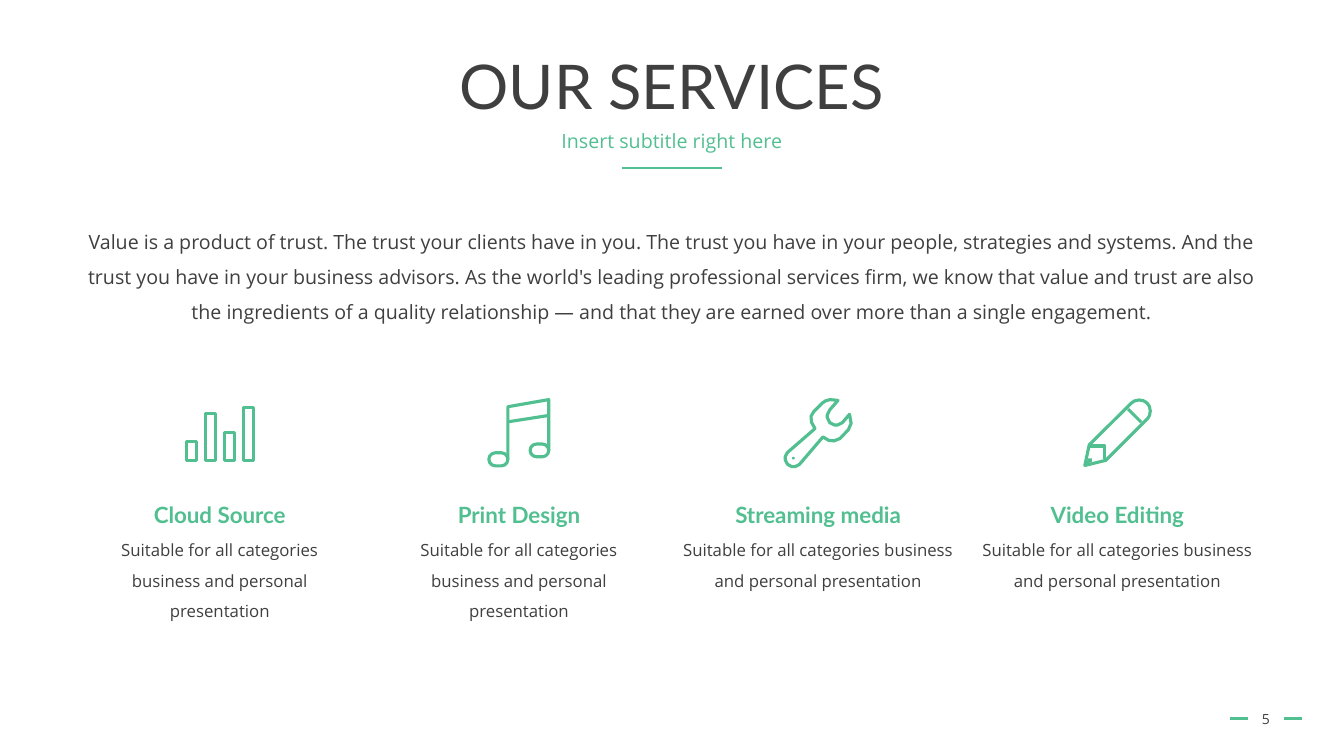
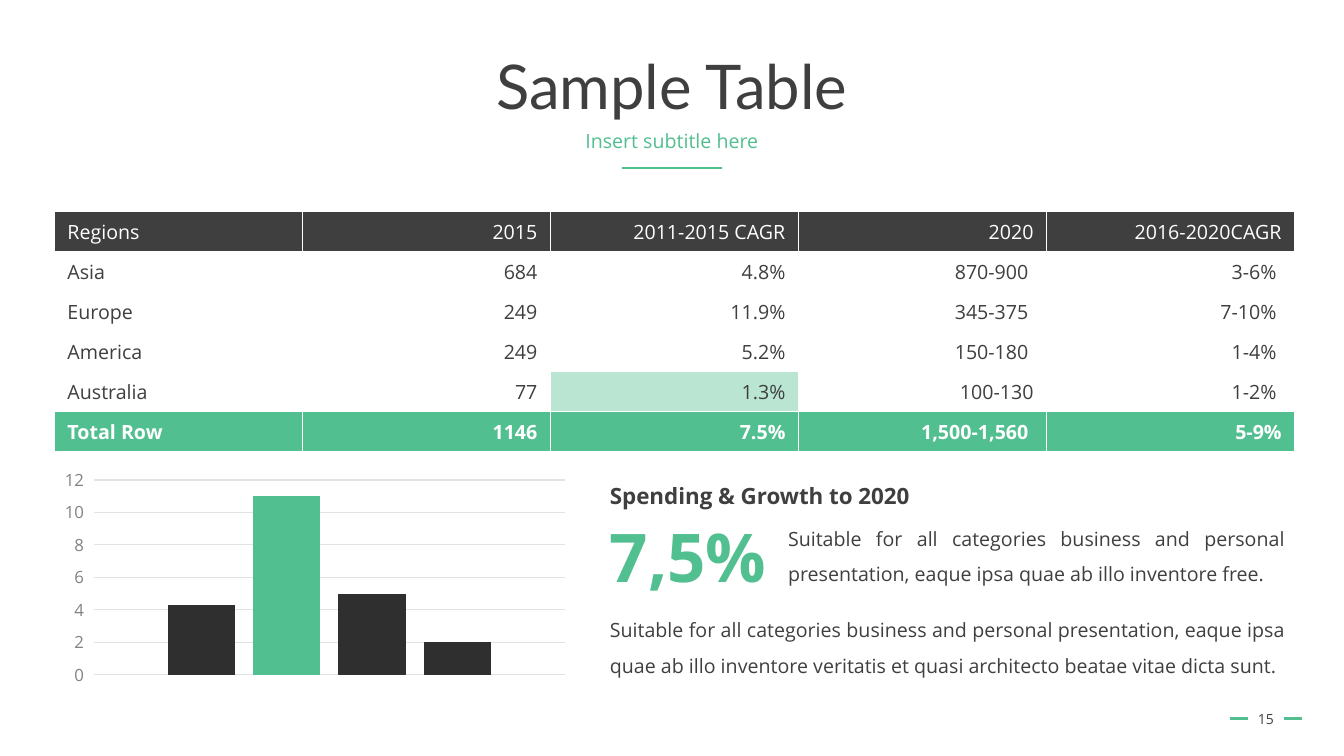
from dataclasses import dataclass
from math import cos, radians, sin

from lxml import etree
from pptx import Presentation
from pptx.chart.data import CategoryChartData
from pptx.dml.color import RGBColor
from pptx.enum.chart import XL_CHART_TYPE, XL_TICK_MARK
from pptx.enum.shapes import MSO_CONNECTOR, MSO_SHAPE
from pptx.enum.text import MSO_ANCHOR, PP_ALIGN
from pptx.oxml.ns import qn
from pptx.slide import Slide
from pptx.util import Cm, Pt

LEFT, MID, RIGHT, FULL = PP_ALIGN.LEFT, PP_ALIGN.CENTER, PP_ALIGN.RIGHT, PP_ALIGN.JUSTIFY
TOP, CENTRE = MSO_ANCHOR.TOP, MSO_ANCHOR.MIDDLE
PILL, OVAL = MSO_SHAPE.ROUNDED_RECTANGLE, MSO_SHAPE.OVAL
STRAIGHT = MSO_CONNECTOR.STRAIGHT
COLUMNS = XL_CHART_TYPE.COLUMN_CLUSTERED
OUTSIDE = XL_TICK_MARK.OUTSIDE

HUES = {
    "green": "52BF90",
    "dark": "3F3F3F",
    "bar": "2F2F2F",
    "label": "828282",
    "grid": "E2E2E2",
    "white": "FFFFFF",
}
HEAD, BODY = "Lato", "Open Sans"
UNIT = Cm(0.01)  # icon grid step
STROKE = Pt(2.25)
ICON_TOP = 10.03

Point = tuple[float, float]


@dataclass(frozen=True)
class Box:
    """A frame in centimetres."""
    x: float
    y: float
    w: float
    h: float

    def lengths(self) -> tuple[Cm, Cm, Cm, Cm]:
        return Cm(self.x), Cm(self.y), Cm(self.w), Cm(self.h)


@dataclass(frozen=True)
class Style:
    size: float
    hue: str = "dark"
    font: str = BODY
    bold: bool = False
    align: PP_ALIGN = MID
    space: float = 1.0
    before: float = 0
    anchor: MSO_ANCHOR = TOP


@dataclass(frozen=True)
class Trace:
    """One freeform of an icon, made of one or more strokes in icon units."""
    strokes: list[list[Point]]
    closed: bool = False
    solid: bool = False


@dataclass(frozen=True)
class Part:
    """A preset piece of an icon, in icon units."""
    kind: MSO_SHAPE
    x: float
    y: float
    w: float
    h: float


@dataclass(frozen=True)
class Service:
    name: str
    width: float
    icon: list[Trace | Part]


TITLE = Style(44, font=HEAD, space=0.9, anchor=CENTRE)
SUB = Style(14, "green", space=0.9, before=10)
PAGE = Style(10, anchor=CENTRE)
INTRO = Style(14, space=1.5)
NAME = Style(16, "green", HEAD, True)
NOTE = Style(12, space=1.5)
PROSE = Style(14, align=FULL, space=1.5)
LEAD = Style(16, bold=True, align=FULL, space=1.5)
FIGURE = Style(48, "green", bold=True, align=LEFT)


def color(name: str) -> RGBColor:
    return RGBColor.from_string(HUES[name])


def write(frame, words: str, style: Style) -> None:
    frame.word_wrap = True
    frame.vertical_anchor = style.anchor
    para = frame.paragraphs[0]
    para.alignment = style.align
    para.line_spacing = style.space
    para.space_before = Pt(style.before)
    run = para.add_run()
    run.text = words
    font = run.font
    font.name, font.size, font.bold = style.font, Pt(style.size), style.bold
    font.color.rgb = color(style.hue)


def text(slide: Slide, box: Box, words: str, style: Style) -> None:
    write(slide.shapes.add_textbox(*box.lengths()).text_frame, words, style)


def rule(slide: Slide, x: float, y: float, width: float) -> None:
    line = slide.shapes.add_connector(STRAIGHT, Cm(x), Cm(y), Cm(x + width), Cm(y))
    line.line.color.rgb = color("green")
    line.line.width = Pt(1.75)
    etree.SubElement(line._element.spPr, qn("a:effectLst"))


def start(deck, title: str, sub: str, page: int) -> Slide:
    """Add a slide with the shared heading and footer."""
    slide = deck.slides.add_slide(deck.slide_layouts[6])
    rule(slide, 15.67, 4.23, 2.52)
    for x in (30.99, 32.35):
        rule(slide, x, 18.11, 0.45)
    text(slide, Box(2.33, 1.02, 29.21, 2.49), title, TITLE)
    text(slide, Box(2.33, 3.2, 29.21, 1.02), sub, SUB)
    text(slide, Box(31.15, 17.61, 1.5, 1.02), str(page), PAGE)
    return slide


def arc(x: float, y: float, radius: float, first: int, last: int) -> list[Point]:
    """Points on a half circle; angles run clockwise from the right."""
    steps = 16
    turns = [radians(first + (last - first) * i / steps) for i in range(steps + 1)]
    return [(x + radius * cos(t), y + radius * sin(t)) for t in turns]


def block(x: float, y: float, w: float, h: float) -> list[Point]:
    return [(x, y), (x + w, y), (x + w, y + h), (x, y + h)]


def paint(shape, solid: bool) -> None:
    shape.shadow.inherit = False
    if solid:
        shape.fill.solid()
        shape.fill.fore_color.rgb = color("green")
        shape.line.fill.background()
    else:
        shape.fill.background()
        shape.line.color.rgb = color("green")
        shape.line.width = STROKE


def draw(slide: Slide, x: float, icon: list[Trace | Part]) -> None:
    for item in icon:
        if isinstance(item, Trace):
            pen = slide.shapes.build_freeform(*item.strokes[0][0], scale=UNIT)
            for i, points in enumerate(item.strokes):
                if i:
                    pen.move_to(*points[0])
                pen.add_line_segments(points[1:], close=item.closed)
            paint(pen.convert_to_shape(Cm(x), Cm(ICON_TOP)), item.solid)
        else:
            box = Box(x + item.x / 100, ICON_TOP + item.y / 100, item.w / 100, item.h / 100)
            shape = slide.shapes.add_shape(item.kind, *box.lengths())
            if item.kind == PILL:
                shape.adjustments[0] = 0.5
            paint(shape, item.kind == OVAL)


BARS = [Trace([block(4 + 47.5 * i, top, 25, 157 - top)
               for i, top in enumerate((109, 38, 86, 23))], closed=True)]
MUSIC = [
    Trace([[(59, 154), (59, 22), (162, 4), (162, 132)], [(59, 60), (162, 44)]]),
    Part(PILL, 11, 138, 48, 33),
    Part(PILL, 115, 116, 47, 32),
]
WRENCH = [
    Trace(
        [[(137, 6), (117, 4), (106, 7), (97, 13), (76, 34), (69, 46), (70, 61), (79, 77)]
         + arc(25, 152, 21, 225, 45)
         + [(99, 98), (114, 107), (127, 108), (142, 102), (163, 80), (170, 64), (166, 41)]
         + arc(132, 46, 22, 45, 225)],
        closed=True,
    ),
    Part(OVAL, 21, 148, 7, 7),
]
PENCIL = [
    Trace([[(5, 170), (16, 118)] + arc(142, 33, 28, 225, 405) + [(58, 157)]], closed=True),
    Trace([[(114, 28), (147, 61)], [(18, 121), (55, 121), (55, 154)]]),
    Trace([[(8, 168), (13, 152), (23, 152), (23, 160)]], closed=True, solid=True),
]
SERVICES = [
    Service("Cloud Source", 6.93, BARS),
    Service("Print Design", 6.78, MUSIC),
    Service("Streaming media", 7.35, WRENCH),
    Service("Video Editing", 7.35, PENCIL),
]
ROWS = [
    ["Regions", "2015", "2011-2015 CAGR", "2020", "2016-2020CAGR"],
    ["Asia", "684", "4.8%", "870-900 ", "3-6% "],
    ["Europe", "249", "11.9%", "345-375 ", "7-10% "],
    ["America", "249", "5.2%", "150-180 ", "1-4% "],
    ["Australia", "77", "1.3%", "100-130", "1-2% "],
    ["Total Row", "1146", "7.5%", "1,500-1,560 ", "5-9%"],
]
BANDS = {0: "dark", len(ROWS) - 1: "green"}
MARKED = (4, 2)


def edge(cell) -> None:
    """Give a cell thin white borders, which come before its fill."""
    props = cell._tc.get_or_add_tcPr()
    for spot, side in enumerate(("lnL", "lnR", "lnT", "lnB")):
        line = etree.Element(qn(f"a:{side}"), w=str(Pt(1)))
        fill = etree.SubElement(line, qn("a:solidFill"))
        etree.SubElement(fill, qn("a:srgbClr"), val=HUES["white"])
        props.insert(spot, line)


def tint(cell, name: str, alpha: int = 100) -> None:
    cell.fill.solid()
    cell.fill.fore_color.rgb = color(name)
    if alpha < 100:
        shade = cell._tc.tcPr.find(".//" + qn("a:srgbClr"))
        etree.SubElement(shade, qn("a:alpha"), val=str(alpha * 1000))


def add_grid(slide: Slide, box: Box) -> None:
    table = slide.shapes.add_table(len(ROWS), len(ROWS[0]), *box.lengths()).table
    table.first_row = table.horz_banding = False
    for r, row in enumerate(ROWS):
        for c, words in enumerate(row):
            cell = table.cell(r, c)
            cell.margin_left = cell.margin_right = Cm(0.33)
            cell.margin_top = cell.margin_bottom = Cm(0.17)
            band = BANDS.get(r)
            if band:
                tint(cell, band)
            elif (r, c) == MARKED:
                tint(cell, "green", 40)
            else:
                cell.fill.background()
            edge(cell)
            style = Style(14, "white" if band else "dark", bold=band == "green",
                          align=RIGHT if c else LEFT)
            write(cell.text_frame, words, style)


def add_bars(slide: Slide, box: Box) -> None:
    data = CategoryChartData()
    data.categories = ["1"]
    for i, value in enumerate((4.3, 11, 5, 2), 1):
        data.add_series(f"Series {i}", [value])
    chart = slide.shapes.add_chart(COLUMNS, *box.lengths(), data).chart
    chart.has_legend = chart.has_title = False
    chart.font.name, chart.font.size = BODY, Pt(10)
    chart.font.color.rgb = color("dark")
    chart.category_axis.visible = False
    axis = chart.value_axis
    axis.minimum_scale, axis.maximum_scale, axis.major_unit = 0, 12, 2
    axis.major_tick_mark = OUTSIDE
    axis.format.line.fill.background()
    axis.major_gridlines.format.line.color.rgb = color("grid")
    axis.major_gridlines.format.line.width = Pt(0.75)
    font = axis.tick_labels.font
    font.name, font.size = BODY, Pt(12)
    font.color.rgb = color("label")
    plot = chart.plots[0]
    plot.vary_by_categories = False
    plot.gap_width, plot.overlap = 219, -27
    for i, series in enumerate(plot.series):
        series.format.fill.solid()
        series.format.fill.fore_color.rgb = color("green" if i == 1 else "bar")


def show_work(deck) -> None:
    slide = start(deck, "OUR SERVICES", "Insert subtitle right here", 5)
    text(slide, Box(1.77, 5.37, 30.33, 3.53),
         "Value is a product of trust. The trust your clients have in you. The trust you have in "
         "your people, strategies and systems. And the trust you have in your business advisors. "
         "As the world's leading professional services firm, we know that value and trust are also "
         "the ingredients of a quality relationship — and that they are earned over more than a "
         "single engagement.", INTRO)
    for i, item in enumerate(SERVICES):
        mid = 5.54 + 7.54 * i
        draw(slide, mid - 0.87, item.icon)
        left = mid - item.width / 2
        text(slide, Box(left, 12.5, item.width, 0.94), item.name, NAME)
        text(slide, Box(left, 13.23, item.width, 2.57),
             "Suitable for all categories business and personal presentation", NOTE)


def show_data(deck) -> None:
    slide = start(deck, "Sample Table", "Insert subtitle here", 15)
    add_grid(slide, Box(1.37, 5.33, 31.26, 6.05))
    add_bars(slide, Box(1.37, 11.69, 13.13, 5.72))
    left = 15.12
    text(slide, Box(left, 11.68, 14.53, 1.17), "Spending & Growth to 2020", LEAD)
    text(slide, Box(left, 12.85, 4.7, 2.31), "7,5%", FIGURE)
    text(slide, Box(19.61, 12.85, 13.03, 1.96),
         "Suitable for all categories business and personal presentation, "
         "eaque ipsa quae ab illo inventore free.", PROSE)
    text(slide, Box(left, 15.16, 17.53, 2.06),
         "Suitable for all categories business and personal presentation, eaque ipsa quae ab illo "
         "inventore veritatis et quasi architecto beatae vitae dicta sunt.", PROSE)


def main() -> None:
    deck = Presentation()
    deck.slide_width, deck.slide_height = Cm(33.87), Cm(19.05)
    show_work(deck)
    show_data(deck)
    deck.save("out.pptx")


if __name__ == "__main__":
    main()
